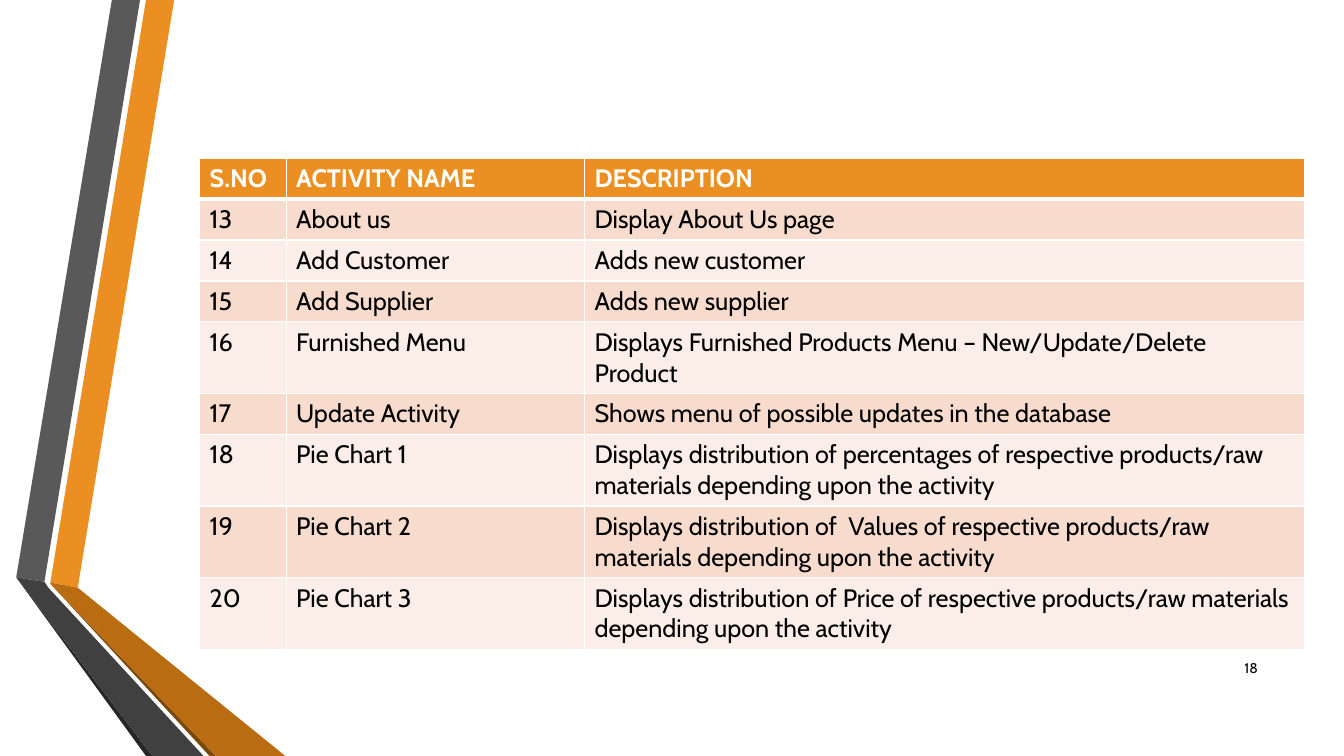
from dataclasses import dataclass

from lxml.etree import SubElement
from pptx import Presentation
from pptx.dml.color import RGBColor as Color
from pptx.enum.text import MSO_ANCHOR as Anchor, PP_ALIGN as Align
from pptx.oxml.ns import qn
from pptx.slide import Slide
from pptx.table import _Cell as Cell
from pptx.text.text import TextFrame
from pptx.util import Cm, Pt


@dataclass(frozen=True)
class Theme:
    font: str = "Cabin"
    table_size: int = 18
    number_size: int = 10
    white: str = "FFFFFF"
    black: str = "000000"
    orange: str = "EB8F22"
    amber: str = "B96C11"
    brown: str = "7B480B"
    grey: str = "595959"
    dark_grey: str = "404040"
    charcoal: str = "262626"
    bands: tuple[str, str] = ("F7DBCD", "FBEEE8")
    thin_border: int = 1
    thick_border: int = 3


@dataclass(frozen=True)
class Ribbon:
    color: str
    points: tuple[tuple[float, float], ...]


@dataclass(frozen=True)
class Activity:
    number: str
    name: str
    description: str


THEME = Theme()
SLIDE_WIDTH, SLIDE_HEIGHT = 33.87, 19.05
TABLE_LEFT, TABLE_TOP, ROW_HEIGHT = 5.03, 3.99, 1.03
COLUMN_WIDTHS = (2.18, 7.52, 18.14)

RIBBONS = (
    Ribbon(THEME.orange, ((1.27, 14.68), (1.96, 14.81), (4.39, 0), (3.68, 0))),
    Ribbon(THEME.grey, ((3.53, 0), (2.82, 0), (0.41, 14.55), (1.12, 14.66))),
    Ribbon(THEME.charcoal, ((0.41, 14.55), (3.68, SLIDE_HEIGHT), (3.84, SLIDE_HEIGHT))),
    Ribbon(THEME.brown, ((1.27, 14.71), (5.28, SLIDE_HEIGHT), (5.44, SLIDE_HEIGHT))),
    Ribbon(THEME.amber, ((1.27, 14.68), (1.27, 14.71), (5.44, SLIDE_HEIGHT),
                         (7.19, SLIDE_HEIGHT), (1.96, 14.81))),
    Ribbon(THEME.dark_grey, ((5.13, SLIDE_HEIGHT), (1.22, 14.81), (1.12, 14.66),
                             (0.41, 14.55), (3.84, SLIDE_HEIGHT))),
)

HEADER = Activity("S.NO", "ACTIVITY NAME", "DESCRIPTION")
ACTIVITIES = (
    Activity("13", "About us", "Display About Us page"),
    Activity("14", "Add Customer", "Adds new customer"),
    Activity("15", "Add Supplier", "Adds new supplier"),
    Activity("16", "Furnished Menu",
             "Displays Furnished Products Menu – New/Update/Delete Product"),
    Activity("17", "Update Activity", "Shows menu of possible updates in the database"),
    Activity("18", "Pie Chart 1",
             "Displays distribution of percentages of respective products/raw materials "
             "depending upon the activity"),
    Activity("19", "Pie Chart 2",
             "Displays distribution of  Values of respective products/raw materials "
             "depending upon the activity"),
    Activity("20", "Pie Chart 3",
             "Displays distribution of Price of respective products/raw materials "
             "depending upon the activity"),
)


def write_text(frame: TextFrame, text: str, *, size: int, color: str = THEME.black,
               bold: bool = False, align: Align = Align.LEFT) -> None:
    paragraph = frame.paragraphs[0]
    paragraph.alignment = align
    run = paragraph.add_run()
    run.text = text
    run.font.name = THEME.font
    run.font.size = Pt(size)
    run.font.bold = bold
    run.font.color.rgb = Color.from_string(color)


def draw_ribbon(slide: Slide, ribbon: Ribbon) -> None:
    start, *others = [(Cm(x), Cm(y)) for x, y in ribbon.points]
    builder = slide.shapes.build_freeform(*start)
    builder.add_line_segments(others, close=True)
    shape = builder.convert_to_shape()
    shape.shadow.inherit = False
    shape.fill.solid()
    shape.fill.fore_color.rgb = Color.from_string(ribbon.color)
    shape.line.fill.background()


def set_borders(cell: Cell, *, top: int, bottom: int) -> None:
    properties = cell._tc.get_or_add_tcPr()
    widths = {"a:lnL": THEME.thin_border, "a:lnR": THEME.thin_border,
              "a:lnT": top, "a:lnB": bottom}
    for tag, width in widths.items():
        border = SubElement(properties, qn(tag), w=str(Pt(width)))
        fill = SubElement(border, qn("a:solidFill"))
        SubElement(fill, qn("a:srgbClr"), val=THEME.white)


def draw_table(slide: Slide) -> None:
    activities = (HEADER, *ACTIVITIES)
    table = slide.shapes.add_table(
        len(activities), len(COLUMN_WIDTHS), Cm(TABLE_LEFT), Cm(TABLE_TOP),
        Cm(sum(COLUMN_WIDTHS)), Cm(ROW_HEIGHT * len(activities))).table
    for column, width in zip(table.columns, COLUMN_WIDTHS):
        column.width = Cm(width)
    for index, (row, activity) in enumerate(zip(table.rows, activities)):
        row.height = Cm(ROW_HEIGHT)
        is_header = index == 0
        fill_color = THEME.orange if is_header else THEME.bands[(index - 1) % 2]
        texts = (activity.number, activity.name, activity.description)
        for cell, text in zip(row.cells, texts):
            set_borders(cell,
                        top=THEME.thick_border if index == 1 else THEME.thin_border,
                        bottom=THEME.thick_border if is_header else THEME.thin_border)
            cell.fill.solid()
            cell.fill.fore_color.rgb = Color.from_string(fill_color)
            write_text(cell.text_frame, text, size=THEME.table_size, bold=is_header,
                       color=THEME.white if is_header else THEME.black)


def draw_slide_number(slide: Slide) -> None:
    frame = slide.shapes.add_textbox(Cm(30.43), Cm(16.31), Cm(1.52), Cm(1.02)).text_frame
    frame.word_wrap = True
    frame.vertical_anchor = Anchor.MIDDLE
    write_text(frame, "18", size=THEME.number_size, align=Align.RIGHT)


def main() -> None:
    presentation = Presentation()
    presentation.slide_width = Cm(SLIDE_WIDTH)
    presentation.slide_height = Cm(SLIDE_HEIGHT)
    slide = presentation.slides.add_slide(presentation.slide_layouts.get_by_name("Blank"))
    slide.background.fill.solid()
    slide.background.fill.fore_color.rgb = Color.from_string(THEME.white)
    for ribbon in RIBBONS:
        draw_ribbon(slide, ribbon)
    draw_table(slide)
    draw_slide_number(slide)
    presentation.save("out.pptx")


if __name__ == "__main__":
    main()
